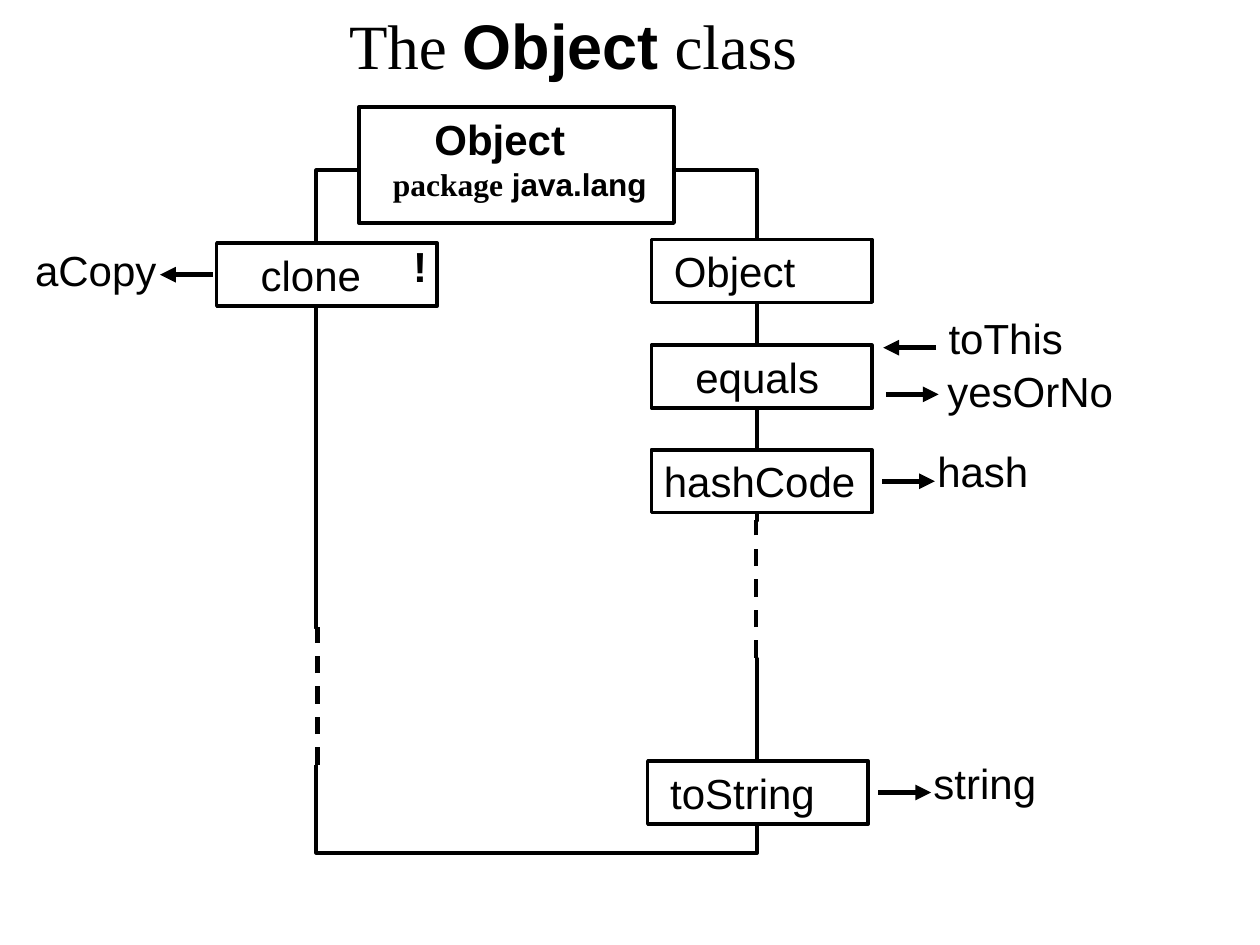
from lxml import etree
from pptx import Presentation
from pptx.dml.color import RGBColor
from pptx.enum import dml, shapes, text
from pptx.oxml import ns
from pptx.util import Inches, Pt

BLACK = RGBColor(0x00, 0x00, 0x00)
WHITE = RGBColor(0xFF, 0xFF, 0xFF)
SANS, SERIF = "Arial", "Times New Roman"

FRAME = {
    "word_wrap": True,
    "auto_size": text.MSO_AUTO_SIZE.SHAPE_TO_FIT_TEXT,
    "vertical_anchor": text.MSO_ANCHOR.TOP,
    "margin_left": Inches(0.1),
    "margin_right": Inches(0),  # keeps each label on one line
    "margin_top": Inches(0.05),
    "margin_bottom": Inches(0.05),
}
PLAIN = {"name": SANS, "size": Pt(24), "bold": False}
BOLD = {**PLAIN, "bold": True}

METHOD_W, METHOD_H = 1.75, 0.5
ARROW_LEN = 0.42


def write(sp, runs):
    tf = sp.text_frame
    for key, value in FRAME.items():
        setattr(tf, key, value)
    p = tf.paragraphs[0]
    p.alignment = text.PP_ALIGN.LEFT
    for words, font in runs:
        r = p.add_run()
        r.text = words
        r.font.color.rgb = BLACK
        for key, value in font.items():
            setattr(r.font, key, value)


def add_label(s, box, runs):
    write(s.shapes.add_textbox(*map(Inches, box)), runs)


def add_box(parent, box, outlined=True):
    sp = parent.shapes.add_shape(shapes.MSO_SHAPE.RECTANGLE, *map(Inches, box))
    sp.shadow.inherit = False
    sp.fill.solid()
    sp.fill.fore_color.rgb = WHITE
    if outlined:
        sp.line.color.rgb = BLACK
        sp.line.width = Pt(2)
    else:
        sp.line.fill.background()


def add_line(parent, start, end, width):
    line = parent.shapes.add_connector(
        shapes.MSO_CONNECTOR.STRAIGHT, *map(Inches, (*start, *end)))
    line.line.color.rgb = BLACK
    line.line.width = Pt(width)
    etree.SubElement(line.element.spPr, ns.qn("a:effectLst"))
    return line


def add_arrow(s, x, y, direction):
    arrow = add_line(s, (x, y), (x + direction * ARROW_LEN, y), 3)
    outline = arrow.element.spPr.find(ns.qn("a:ln"))
    etree.SubElement(outline, ns.qn("a:tailEnd"), type="triangle")


def add_title(s, box):
    title = s.shapes.title
    title.left, title.top, title.width, title.height = map(Inches, box)
    serif = {"name": SERIF, "size": Pt(36), "bold": False}
    sans = {"name": SANS, "size": Pt(36), "bold": True}
    write(title, [("The ", serif), ("Object", sans), (" class", serif)])


def add_class_header(s, box):
    x, y, _, _ = box
    add_box(s, box)
    add_label(s, (x + 0.5, y, 1.24, 0.5), [("Object", BOLD)])
    add_label(s, (x + 0.17, y + 0.41, 2.21, 0.4),
              [("package", {**BOLD, "name": SERIF, "size": Pt(18)}),
               (" java.lang", {**BOLD, "size": Pt(18)})])


def add_method(s, box, name, indent, name_w):
    x, y, _, h = box
    add_box(s, box)
    add_label(s, (x + indent, y, name_w, h), [(name, PLAIN)])


def add_gap(s, box):
    """Break in the class outline, for members that are left out."""
    x, y, w, h = box
    group = s.shapes.add_group_shape()
    add_box(group, box, outlined=False)
    dashes = add_line(group, (x + w / 2, y + h), (x + w / 2, y - 0.01), 2.5)
    dashes.line.dash_style = dml.MSO_LINE.DASH


def main():
    prs = Presentation()
    prs.slide_width, prs.slide_height = Inches(10), Inches(7.5)
    s = prs.slides.add_slide(prs.slide_layouts[5])
    add_title(s, (2.67, 0, 3.75, 0.7))

    # Class outline and header
    add_box(s, (2.51, 1.35, 3.5, 5.42))
    add_class_header(s, (2.85, 0.85, 2.5, 0.92))

    # Methods: left, top, name, indent and width of the name
    for x, y, name, indent, name_w in [
        (1.72, 1.93, "clone", 0.25, 0.99),
        (5.17, 1.9, "Object", 0.08, 1.16),
        (5.17, 2.74, "equals", 0.25, 1.18),
        (5.17, 3.57, "hashCode", 0, 1.72),
        (5.14, 6.04, "toString", 0.08, 1.35),
    ]:
        add_method(s, (x, y, METHOD_W, METHOD_H), name, indent, name_w)
    add_label(s, (3.18, 1.86, 0.31, 0.5), [("!", BOLD)])

    # Parameters and results: arrow start and direction, then label place
    for name, x, y, direction, left, top, w in [
        ("aCopy", 1.69, 2.18, -1, 0.18, 1.89, 1.16),
        ("toThis", 7.43, 2.76, -1, 7.43, 2.43, 1.11),
        ("yesOrNo", 7.03, 3.13, 1, 7.42, 2.85, 1.51),
        ("hash", 7, 3.82, 1, 7.34, 3.49, 0.92),
        ("string", 6.97, 6.29, 1, 7.31, 5.96, 1.01),
    ]:
        add_arrow(s, x, y, direction)
        add_label(s, (left, top, w, 0.5), [(name, PLAIN)])

    # Dashed breaks in both sides of the outline
    for x, y in [(5.96, 4.14), (2.48, 4.99)]:
        add_gap(s, (x, y, 0.08, 1.08))

    prs.save("out.pptx")


if __name__ == "__main__":
    main()
